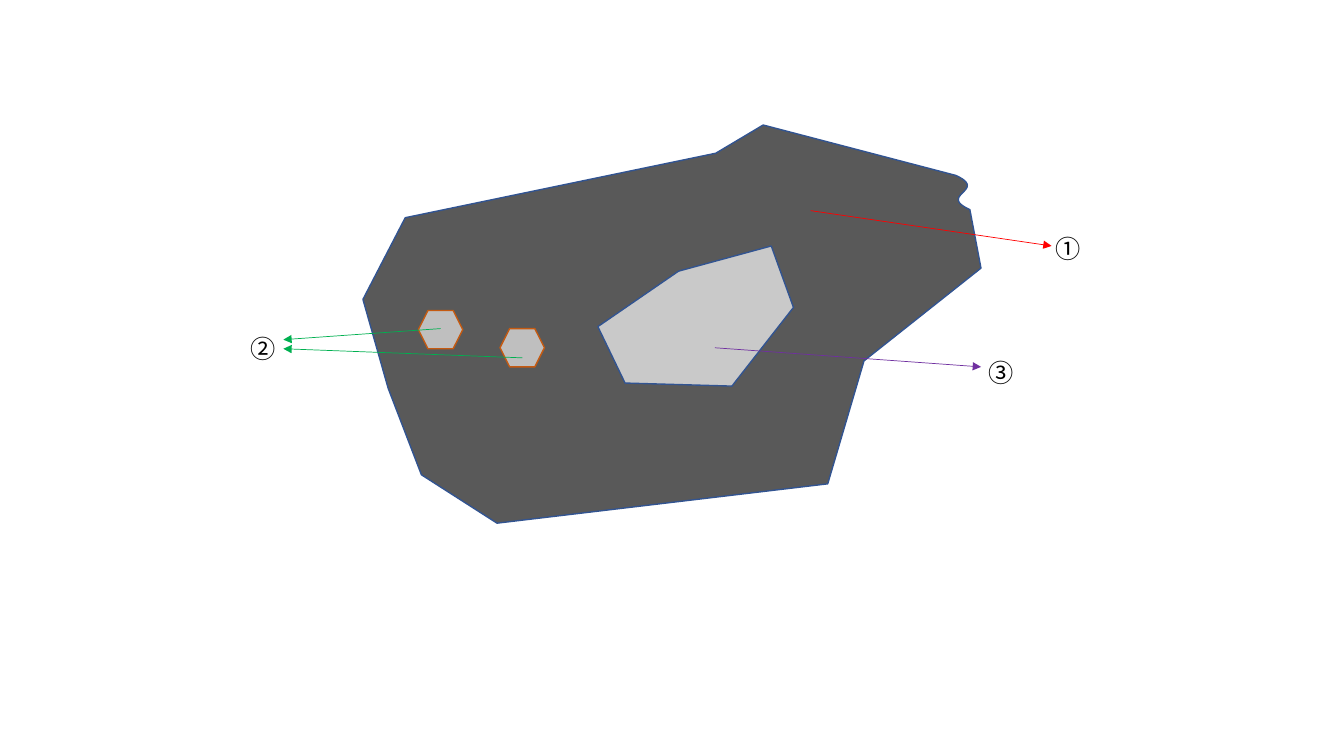
from lxml.etree import SubElement
from pptx import Presentation
from pptx.dml.color import RGBColor
from pptx.enum.shapes import MSO_CONNECTOR, MSO_SHAPE
from pptx.enum.text import MSO_AUTO_SIZE
from pptx.oxml.ns import qn
from pptx.util import Inches, Pt

COLS, ROWS = 133.3, 75
WIDTH, HEIGHT = Inches(13.33), Inches(7.5)
FONT = "Noto Sans CJK KR"

BODY_BOX = (36, 12.4)
GRAIN_BOX = (59.3, 24.4)
HEXAGON_BOXES = [(49.6, 32.6), (41.5, 30.8)]
BODY_LOWER = [(4.2, 9.2), (0, 17.3), (2.5, 26.1), (5.8, 34.7), (13.3, 39.5),
              (46.1, 35.6), (49.7, 23.4), (61.3, 14.2)]
BODY_NOTCH = [(60.2, 8.4), (56.9, 6.9), (62.1, 6.5), (58.8, 5)]
BODY_UPPER = [(39.7, 0), (35, 2.8)]
GRAIN = [(8, 2.5), (0, 8), (2.7, 13.6), (13.3, 13.9), (19.4, 6.1), (17.2, 0)]
ARROWS = [
    ((70.9, 34.5), (97.3, 36.4), "7030A0"),
    ((43.7, 32.6), (28.1, 33.7), "00B050"),
    ((51.8, 35.5), (28.1, 34.6), "00B050"),
    ((80.4, 20.9), (104.3, 24.4), "FF0000"),
]
LABELS = [("①", (103.7, 22.7)), ("③", (97.1, 35)), ("②", (23.9, 32.6))]


def rgb(value):
    """Return the colour for a hex string."""
    return RGBColor.from_string(value)


def cell(col, row):
    """Turn a grid position into slide lengths."""
    return round(WIDTH * col / COLS), round(HEIGHT * row / ROWS)


def curve(points, steps=24):
    """Return points along a cubic curve."""
    weights = (1, 3, 3, 1)
    return [tuple(sum(w * (1 - i / steps) ** (3 - k) * (i / steps) ** k * pt[axis]
                      for k, (w, pt) in enumerate(zip(weights, points)))
                  for axis in (0, 1))
            for i in range(steps + 1)]


def paint(sp, fill, line):
    """Give a shape its fill and outline."""
    sp.shadow.inherit = False
    sp.fill.solid()
    sp.fill.fore_color.rgb = rgb(fill)
    sp.line.color.rgb = rgb(line)
    sp.line.width = Pt(1)


def add_outline(shapes, box, points, fill):
    """Draw a closed outline from the corner of its box."""
    corners = [cell(box[0] + x, box[1] + y) for x, y in points]
    builder = shapes.build_freeform(*corners[0], scale=1.0)
    builder.add_line_segments(corners[1:], close=True)
    paint(builder.convert_to_shape(), fill, "325491")


def add_hexagon(shapes, box):
    """Draw a small hexagonal crystal."""
    sp = shapes.add_shape(MSO_SHAPE.HEXAGON, *cell(*box), *cell(4.4, 3.8))
    paint(sp, "BFBFBF", "C55A11")


def add_rock(s):
    """Group the rock body, its grain and its hexagons."""
    shapes = s.shapes.add_group_shape().shapes
    add_outline(shapes, BODY_BOX, BODY_LOWER + curve(BODY_NOTCH) + BODY_UPPER, "595959")
    add_outline(shapes, GRAIN_BOX, GRAIN, "C9C9C9")
    for box in HEXAGON_BOXES:
        add_hexagon(shapes, box)


def add_arrow(s, start, end, color):
    """Draw a thin arrow to a label."""
    line = s.shapes.add_connector(MSO_CONNECTOR.STRAIGHT, *cell(*start), *cell(*end))
    line.line.color.rgb = rgb(color)
    line.line.width = Pt(0.5)
    SubElement(line.line._get_or_add_ln(), qn("a:tailEnd"), type="triangle")
    SubElement(line._element.spPr, qn("a:effectLst"))


def add_label(s, text, box):
    """Write a circled number."""
    tf = s.shapes.add_textbox(*cell(*box), *cell(4.5, 4)).text_frame
    tf.word_wrap = False
    tf.auto_size = MSO_AUTO_SIZE.SHAPE_TO_FIT_TEXT
    r = tf.paragraphs[0].add_run()
    r.text = text
    r.font.size = Pt(18)
    r.font.name = FONT
    r.font.color.rgb = rgb("000000")
    SubElement(r.font._element, qn("a:ea"), typeface=FONT)


def main():
    """Build and save the slide."""
    prs = Presentation()
    prs.slide_width, prs.slide_height = WIDTH, HEIGHT
    s = prs.slides.add_slide(prs.slide_layouts[6])
    add_rock(s)
    for start, end, color in ARROWS:
        add_arrow(s, start, end, color)
    for text, box in LABELS:
        add_label(s, text, box)
    prs.save("out.pptx")


if __name__ == "__main__":
    main()
